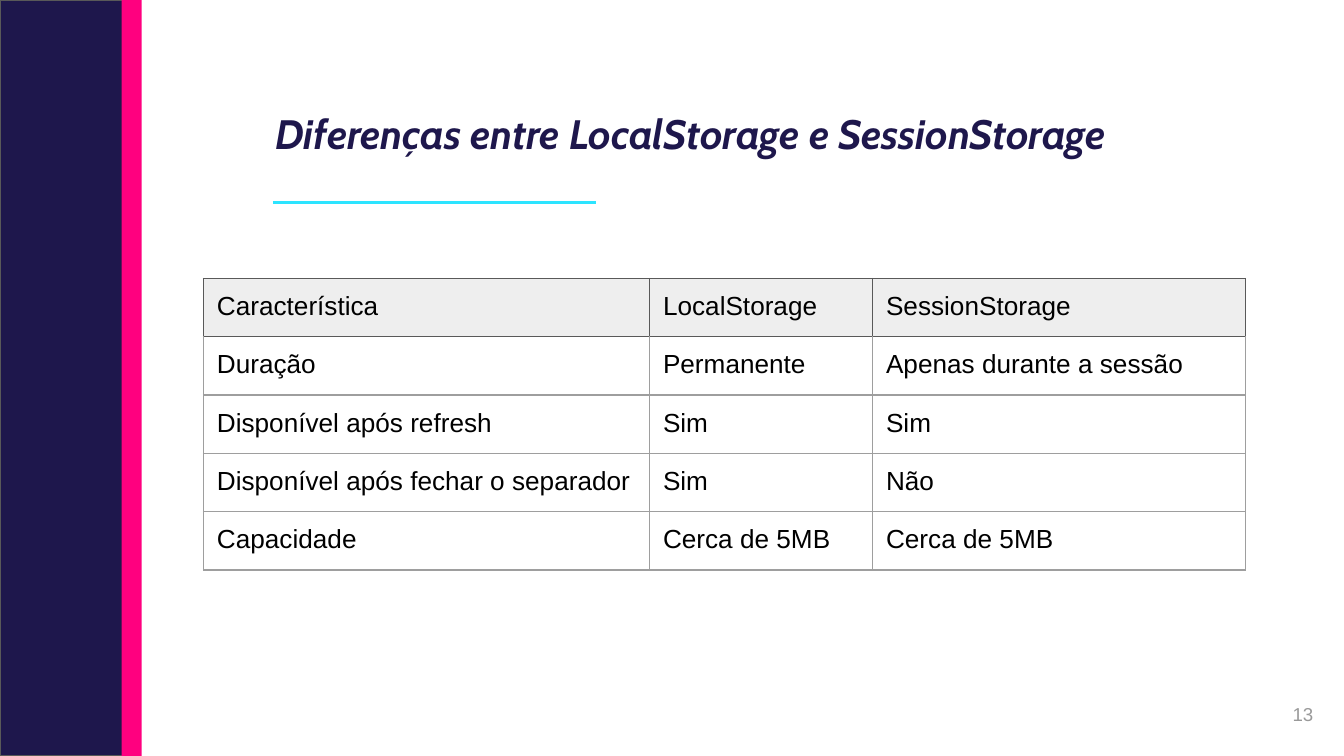
"""Build the slide that compares LocalStorage and SessionStorage."""
from dataclasses import dataclass

from lxml import etree
from pptx import Presentation
from pptx import util as u
from pptx.dml import color
from pptx.enum import shapes, text
from pptx.oxml import ns


@dataclass(frozen=True)
class Theme:
    navy: str = "1E174C"
    pink: str = "FF007F"
    cyan: str = "2CE4FF"
    black: str = "000000"
    page_number: str = "999999"
    header_fill: str = "EEEEEE"
    header_line: str = "595959"
    body_line: str = "9E9E9E"
    title_font: str = "Cabin"
    body_font: str = "Arial"
    title_size: float = 22
    body_size: float = 14
    small_size: float = 10
    thin: float = 0.75
    thick: float = 1.5
    inset: float = 7.2


def rgb(value):
    return color.RGBColor.from_string(value)


def write(frame, content, *, font, size, ink, bold=False, italic=False,
          align=text.PP_ALIGN.LEFT):
    para = frame.paragraphs[0]
    para.alignment = align
    span = para.add_run()
    span.text = content
    span.font.name = font
    span.font.size = u.Pt(size)
    span.font.bold = bold
    span.font.italic = italic
    span.font.color.rgb = rgb(ink)


class Painter:
    def __init__(self, page, theme):
        self.page = page
        self.theme = theme

    def bar(self, left, top, width, height, fill, line=None, rotation=0):
        box = self.page.shapes.add_shape(
            shapes.MSO_SHAPE.RECTANGLE, *map(u.Pt, (left, top, width, height)))
        box.rotation = rotation
        box.shadow.inherit = False
        box.fill.solid()
        box.fill.fore_color.rgb = rgb(fill)
        if line:
            box.line.color.rgb = rgb(line)
            box.line.width = u.Pt(self.theme.thin)
        else:
            box.line.fill.background()

    def rule(self, left, right, top, ink):
        line = self.page.shapes.add_connector(
            shapes.MSO_CONNECTOR.STRAIGHT, *map(u.Pt, (left, top, right, top)))
        line.line.color.rgb = rgb(ink)
        line.line.width = u.Pt(self.theme.thick)
        etree.SubElement(line._element.spPr, ns.qn("a:effectLst"))

    def label(self, left, top, width, height, content, **style):
        box = self.page.shapes.add_textbox(*map(u.Pt, (left, top, width, height)))
        frame = box.text_frame
        frame.word_wrap = True
        frame.vertical_anchor = text.MSO_ANCHOR.MIDDLE
        self.pad(frame)
        write(frame, content, **style)

    def pad(self, target):
        for side in ("left", "right", "top", "bottom"):
            setattr(target, f"margin_{side}", u.Pt(self.theme.inset))

    def border(self, cell, **inks):
        properties = cell._tc.get_or_add_tcPr()
        for index, side in enumerate("LRTB"):
            line = etree.Element(ns.qn(f"a:ln{side}"), w=str(u.Pt(self.theme.thin)))
            fill = etree.SubElement(line, ns.qn("a:solidFill"))
            etree.SubElement(fill, ns.qn("a:srgbClr"), val=inks[side])
            properties.insert(index, line)

    def table(self, left, top, widths, row_height, rows):
        theme = self.theme
        table = self.page.shapes.add_table(
            len(rows), len(widths), u.Pt(left), u.Pt(top),
            u.Pt(sum(widths)), u.Pt(row_height * len(rows))).table
        table.first_row = table.horz_banding = False
        for column, width in zip(table.columns, widths):
            column.width = u.Pt(width)
        for index, values in enumerate(rows):
            table.rows[index].height = u.Pt(row_height)
            ink = theme.body_line if index else theme.header_line
            above = theme.header_line if index < 2 else theme.body_line
            for cell, value in zip(table.rows[index].cells, values):
                self.pad(cell)
                if index:
                    cell.fill.background()
                else:
                    cell.fill.solid()
                    cell.fill.fore_color.rgb = rgb(theme.header_fill)
                self.border(cell, L=ink, R=ink, T=above, B=ink)
                write(cell.text_frame, value, font=theme.body_font,
                      size=theme.body_size, ink=theme.black)


def main():
    theme = Theme()
    deck = Presentation()
    deck.slide_width, deck.slide_height = u.Pt(720), u.Pt(405)
    page = deck.slides.add_slide(deck.slide_layouts[6])
    painter = Painter(page, theme)

    painter.bar(0, 0, 65.5, 405, theme.navy, line=theme.header_line)
    painter.bar(-132.5, 196.8, 406, 10.8, theme.pink, rotation=270)
    painter.rule(146.2, 319.4, 108.5, theme.cyan)
    painter.label(140.4, 38.2, 567.4, 66.2,
                  "Diferenças entre LocalStorage e SessionStorage",
                  font=theme.title_font, size=theme.title_size,
                  ink=theme.navy, bold=True, italic=True)
    painter.label(667.4, 367.2, 43.2, 31, "13", font=theme.body_font,
                  size=theme.small_size, ink=theme.page_number,
                  align=text.PP_ALIGN.RIGHT)
    painter.table(109, 149.2, (239, 119.5, 199.7), 30.1, (
        ("Característica", "LocalStorage", "SessionStorage"),
        ("Duração", "Permanente", "Apenas durante a sessão"),
        ("Disponível após refresh", "Sim", "Sim"),
        ("Disponível após fechar o separador", "Sim", "Não"),
        ("Capacidade", "Cerca de 5MB", "Cerca de 5MB"),
    ))
    deck.save("out.pptx")


if __name__ == "__main__":
    main()
